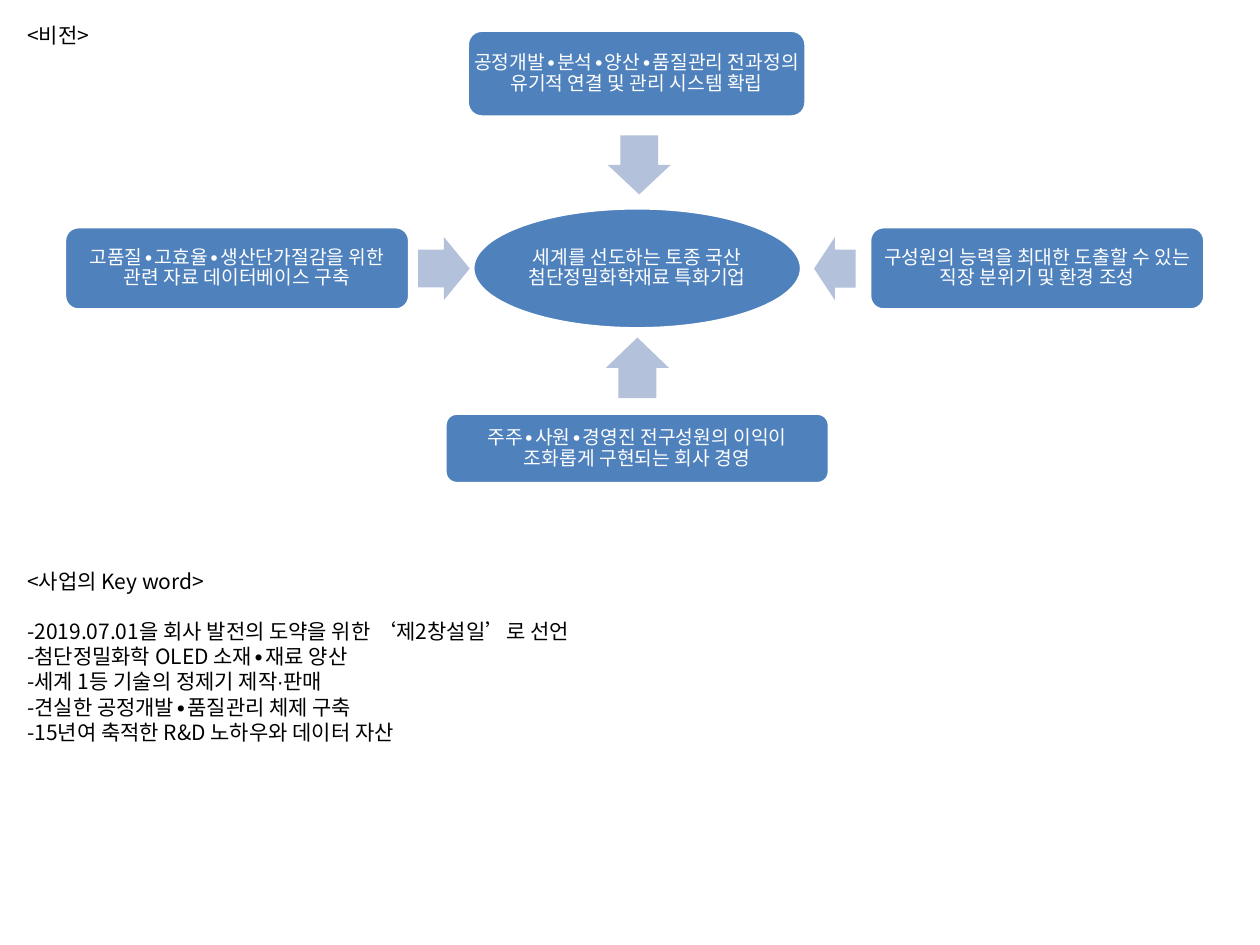
from dataclasses import dataclass

from lxml import etree
from pptx import Presentation
from pptx.dml.color import RGBColor
from pptx.enum.shapes import MSO_SHAPE
from pptx.enum.text import MSO_ANCHOR, MSO_AUTO_SIZE, PP_ALIGN
from pptx.oxml.ns import qn
from pptx.util import Cm, Pt

ELLIPSE = MSO_SHAPE.OVAL
ROUNDED = MSO_SHAPE.ROUNDED_RECTANGLE
ARROW = MSO_SHAPE.RIGHT_ARROW
CENTER = PP_ALIGN.CENTER
MIDDLE = MSO_ANCHOR.MIDDLE
FIT_SHAPE = MSO_AUTO_SIZE.SHAPE_TO_FIT_TEXT


@dataclass(frozen=True)
class Theme:
    """Colours, fonts and type sizes of the slide."""
    node: RGBColor = RGBColor(0x4F, 0x81, 0xBD)
    arrow: RGBColor = RGBColor(0xB3, 0xC1, 0xDB)
    light: RGBColor = RGBColor(0xFF, 0xFF, 0xFF)
    dark: RGBColor = RGBColor(0, 0, 0)
    font: str = "Noto Sans CJK KR"
    accent_font: str = "Arial"
    node_size: Pt = Pt(11)
    body_size: Pt = Pt(12)
    blank_line: Pt = Pt(14.4)


@dataclass(frozen=True)
class Frame:
    """Position and size in centimetres."""
    left: float
    top: float
    width: float
    height: float

    def lengths(self) -> tuple:
        """Return the four values as lengths."""
        return Cm(self.left), Cm(self.top), Cm(self.width), Cm(self.height)


@dataclass(frozen=True)
class Node:
    """A filled shape carrying one statement."""
    frame: Frame
    text: str
    kind: int = ROUNDED


@dataclass(frozen=True)
class Arrow:
    """A block arrow turned towards the centre."""
    frame: Frame
    rotation: int


THEME = Theme()

NODES = [
    Node(Frame(9.53, 4.19, 6.63, 2.44),
         "세계를 선도하는 토종 국산 첨단정밀화학재료 특화기업", ELLIPSE),
    Node(Frame(9.42, 0.61, 6.83, 1.75),
         "공정개발∙분석∙양산∙품질관리 전과정의 유기적 연결 및 관리 시스템 확립"),
    Node(Frame(17.53, 4.57, 6.76, 1.68),
         "구성원의 능력을 최대한 도출할 수 있는 직장 분위기 및 환경 조성"),
    Node(Frame(8.97, 8.33, 7.75, 1.42),
         "주주∙사원∙경영진 전구성원의 이익이 조화롭게 구현되는 회사 경영"),
    Node(Frame(1.3, 4.57, 6.96, 1.68),
         "고품질∙고효율∙생산단가절감을 위한 관련 자료 데이터베이스 구축"),
]

ARROWS = [
    Arrow(Frame(12.29, 2.69, 1.19, 1.27), 90),
    Arrow(Frame(16.41, 4.78, 0.84, 1.27), 180),
    Arrow(Frame(12.24, 6.78, 1.22, 1.27), 270),
    Arrow(Frame(8.43, 4.78, 1.04, 1.27), 0),
]

VISION = ["<비전>"]
KEYWORDS = [
    "<사업의 Key word>",
    "-2019.07.01을 회사 발전의 도약을 위한 ‘제2창설일’로 선언",
    "-첨단정밀화학 OLED 소재∙재료 양산",
    "-세계 1등 기술의 정제기 ",
    "-견실한 공정개발∙품질관리 체제 구축",
    "-15년여 축적한 R&D 노하우와 데이터 자산",
]
MACHINE_LINE = 3
MACHINE_ENDING = "제작∙판매"


def style_span(span, size: Pt, color: RGBColor, font: str = THEME.font) -> None:
    """Set size, colour and both Latin and East Asian fonts of a run."""
    span.font.size = size
    span.font.color.rgb = color
    span.font.name = font
    east_asian = etree.Element(qn("a:ea"), typeface=font)
    span.font._element.find(qn("a:latin")).addnext(east_asian)


def add_node(page, node: Node) -> None:
    """Draw a statement shape with centred text."""
    box = page.shapes.add_shape(node.kind, *node.frame.lengths())
    box.shadow.inherit = False
    box.fill.solid()
    box.fill.fore_color.rgb = THEME.node
    box.line.color.rgb = THEME.light
    box.line.width = Pt(2)
    frame = box.text_frame
    frame.word_wrap = True
    frame.vertical_anchor = MIDDLE
    frame.margin_left = frame.margin_right = Cm(0.05)
    frame.margin_top = frame.margin_bottom = Cm(0.05)
    frame.text = node.text
    para = frame.paragraphs[0]
    para.alignment = CENTER
    para.line_spacing = 0.9
    style_span(para.runs[0], THEME.node_size, THEME.light)


def add_arrow(page, arrow: Arrow) -> None:
    """Draw a block arrow."""
    shape = page.shapes.add_shape(ARROW, *arrow.frame.lengths())
    shape.shadow.inherit = False
    shape.rotation = arrow.rotation
    shape.adjustments[0] = 0.6
    shape.adjustments[1] = 0.5
    shape.fill.solid()
    shape.fill.fore_color.rgb = THEME.arrow
    shape.line.fill.background()


def add_lines(page, frame: Frame, lines: list[str]):
    """Add an unwrapped text box and return its text frame."""
    box = page.shapes.add_textbox(*frame.lengths())
    text_frame = box.text_frame
    text_frame.word_wrap = False
    text_frame.auto_size = FIT_SHAPE
    text_frame.text = "\n".join(lines)
    for para in text_frame.paragraphs:
        style_span(para.runs[0], THEME.body_size, THEME.dark)
    return text_frame


def build() -> None:
    """Build the slide and save the deck."""
    deck = Presentation()
    deck.slide_width, deck.slide_height = Cm(25.4), Cm(19.05)
    page = deck.slides.add_slide(deck.slide_layouts[6])
    for node in NODES:
        add_node(page, node)
    for arrow in ARROWS:
        add_arrow(page, arrow)
    add_lines(page, Frame(0.3, 0.33, 1.96, 0.76), VISION)
    keywords = add_lines(page, Frame(0.3, 11.33, 11.79, 3.84), KEYWORDS)
    keywords.paragraphs[1].space_before = THEME.blank_line
    ending = keywords.paragraphs[MACHINE_LINE].add_run()
    ending.text = MACHINE_ENDING
    style_span(ending, THEME.body_size, THEME.dark, THEME.accent_font)
    deck.save("out.pptx")


build()
